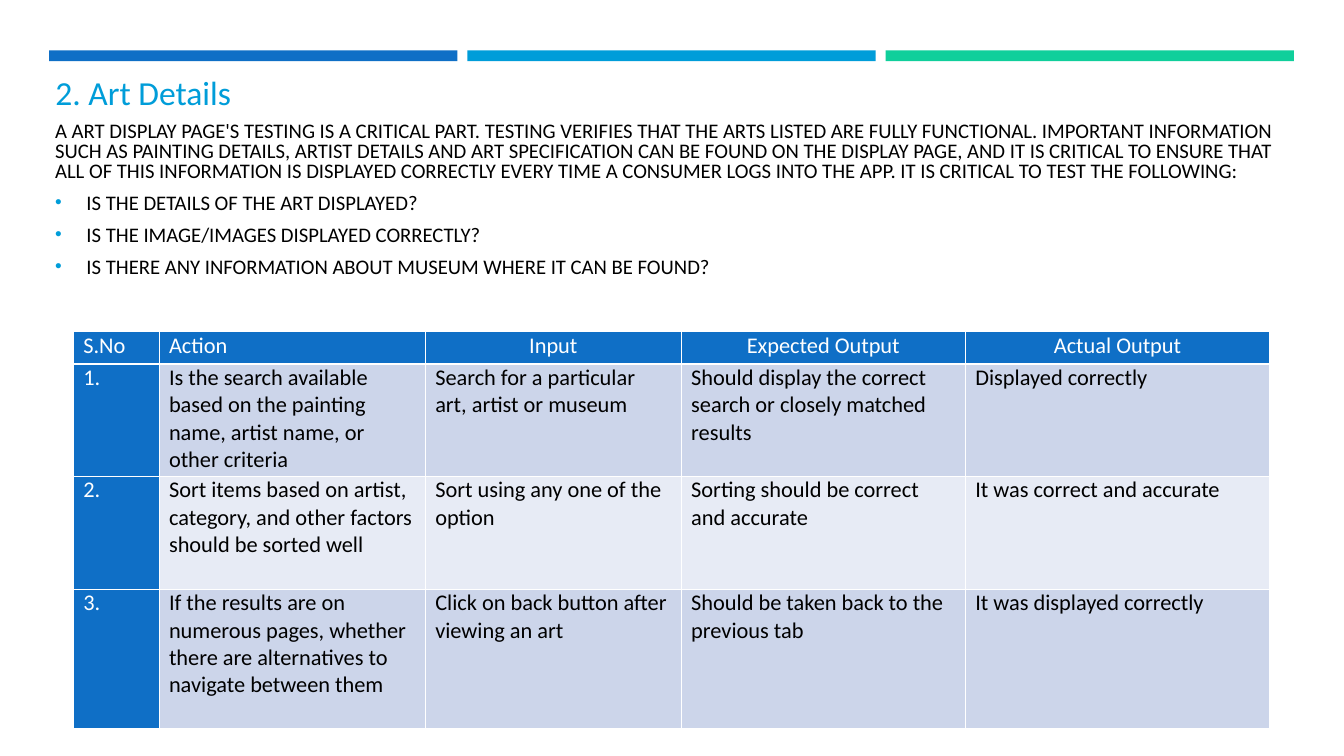
from lxml.etree import SubElement
from pptx import Presentation
from pptx.dml.color import RGBColor
from pptx.enum.shapes import MSO_SHAPE
from pptx.enum.text import MSO_ANCHOR, MSO_AUTO_SIZE, PP_ALIGN
from pptx.oxml.ns import qn
from pptx.util import Cm, Pt

BLUE = RGBColor(0x0F, 0x6F, 0xC6)
CYAN = RGBColor(0x00, 0x9D, 0xD9)
GREEN = RGBColor(0x10, 0xCF, 0x9B)
BAND_DARK = RGBColor(0xCC, 0xD5, 0xEA)
BAND_LIGHT = RGBColor(0xE7, 0xEB, 0xF5)
WHITE = RGBColor(0xFF, 0xFF, 0xFF)
BLACK = RGBColor(0x00, 0x00, 0x00)
FONT = "Calibri"

INTRODUCTION = (
    "A ART DISPLAY PAGE'S TESTING IS A CRITICAL PART. TESTING VERIFIES THAT THE ARTS "
    "LISTED ARE FULLY FUNCTIONAL. IMPORTANT INFORMATION SUCH AS PAINTING DETAILS, ARTIST "
    "DETAILS AND ART SPECIFICATION CAN BE FOUND ON THE DISPLAY PAGE, AND IT IS CRITICAL TO "
    "ENSURE THAT ALL OF THIS INFORMATION IS DISPLAYED CORRECTLY EVERY TIME A CONSUMER LOGS "
    "INTO THE APP. IT IS CRITICAL TO TEST THE FOLLOWING:"
)
QUESTIONS = [
    "IS THE DETAILS OF THE ART DISPLAYED?",
    "IS THE IMAGE/IMAGES DISPLAYED CORRECTLY?",
    "IS THERE ANY INFORMATION ABOUT MUSEUM WHERE IT CAN BE FOUND?",
]
TEST_CASES = [
    ["S.No", "Action", "Input", "Expected Output", "Actual Output"],
    ["1.", "Is the search available based on the painting name, artist name, or other criteria",
     "Search for a particular art, artist or museum",
     "Should display the correct search or closely matched results", "Displayed correctly"],
    ["2.", "Sort items based on artist, category, and other factors should be sorted well",
     "Sort using any one of the option", "Sorting should be correct and accurate",
     "It was correct and accurate"],
    ["3.", "If the results are on numerous pages, whether there are alternatives to navigate "
     "between them", "Click on back button after viewing an art",
     "Should be taken back to the previous tab", "It was displayed correctly"],
]
COLUMN_SHARES = [2.16, 6.71, 6.45, 7.16, 7.67]
ROW_SHARES = [0.81, 2.84, 2.84, 3.51]


def set_attributes(target, values):
    for name, value in values.items():
        setattr(target, name, value)


def format_font(paragraph, size, color):
    set_attributes(paragraph.font, {"name": FONT, "size": Pt(size), "bold": False})
    paragraph.font.color.rgb = color


def add_bullet(paragraph):
    properties = paragraph._p.get_or_add_pPr()
    indent = Cm(0.79)
    properties.set("marL", str(indent))
    properties.set("indent", str(-indent))
    color = SubElement(properties, qn("a:buClr"))
    SubElement(color, qn("a:srgbClr"), val=str(CYAN))
    SubElement(properties, qn("a:buSzPct"), val="92000")
    SubElement(properties, qn("a:buFont"), typeface="Arial")
    SubElement(properties, qn("a:buChar"), char="•")


def add_color_bars(page, left, top, width, height):
    colors = [BLUE, CYAN, GREEN]
    gap = Cm(0.25)
    bar_width = (width - gap * (len(colors) - 1)) // len(colors)
    for index, color in enumerate(colors):
        bar = page.shapes.add_shape(
            MSO_SHAPE.RECTANGLE, left + index * (bar_width + gap), top, bar_width, height)
        bar.shadow.inherit = False
        bar.fill.solid()
        bar.fill.fore_color.rgb = color
        bar.line.fill.background()


def place_title(page, left, top, width, height):
    title = page.shapes.title
    set_attributes(title, {"left": left, "top": top, "width": width, "height": height})
    set_attributes(title.text_frame, {
        "text": "2. Art Details", "word_wrap": False,
        "auto_size": MSO_AUTO_SIZE.NONE, "vertical_anchor": MSO_ANCHOR.TOP})
    paragraph = title.text_frame.paragraphs[0]
    paragraph.alignment = PP_ALIGN.LEFT
    format_font(paragraph, 24, CYAN)


def add_introduction(page, left, top, width, height):
    frame = page.shapes.add_textbox(left, top, width, height).text_frame
    frame.word_wrap = True
    for index, text in enumerate([INTRODUCTION] + QUESTIONS):
        paragraph = frame.add_paragraph() if index else frame.paragraphs[0]
        paragraph.text = text
        if index:
            add_bullet(paragraph)
            paragraph.space_before = Pt(2.7)
        set_attributes(paragraph, {"line_spacing": 0.8, "space_after": Pt(6)})
        format_font(paragraph, 14.8, BLACK)


def add_cell_borders(cell):
    properties = cell._tc.get_or_add_tcPr()
    for position, side in enumerate(["a:lnL", "a:lnR", "a:lnT", "a:lnB"]):
        line = properties.makeelement(qn(side), {"w": str(Pt(1))})
        fill = SubElement(line, qn("a:solidFill"))
        SubElement(fill, qn("a:srgbClr"), val=str(WHITE))
        properties.insert(position, line)


def add_test_table(page, left, top, width, height):
    table = page.shapes.add_table(
        len(TEST_CASES), len(COLUMN_SHARES), left, top, width, height).table
    table.first_col = True
    for column, share in zip(table.columns, COLUMN_SHARES):
        column.width = int(width * share / sum(COLUMN_SHARES))
    for row, share in zip(table.rows, ROW_SHARES):
        row.height = int(height * share / sum(ROW_SHARES))
    for row_index, texts in enumerate(TEST_CASES):
        band = BAND_DARK if row_index % 2 else BAND_LIGHT
        for column_index, text in enumerate(texts):
            cell = table.cell(row_index, column_index)
            is_heading = row_index == 0 or column_index == 0
            set_attributes(cell, {
                "text": text, "margin_left": Cm(0.25), "margin_right": Cm(0.25),
                "margin_top": 0, "margin_bottom": 0})
            cell.fill.solid()
            cell.fill.fore_color.rgb = BLUE if is_heading else band
            add_cell_borders(cell)
            paragraph = cell.text_frame.paragraphs[0]
            if row_index == 0 and column_index > 1:
                paragraph.alignment = PP_ALIGN.CENTER
            format_font(paragraph, 16, WHITE if is_heading else BLACK)


def main():
    deck = Presentation()
    set_attributes(deck, {"slide_width": Cm(33.87), "slide_height": Cm(19.05)})
    page = deck.slides.add_slide(deck.slide_layouts[5])
    add_color_bars(page, Cm(1.24), Cm(1.27), Cm(31.37), Cm(0.27))
    place_title(page, Cm(1.14), Cm(1.68), Cm(5.18), Cm(1.27))
    add_introduction(page, Cm(1.14), Cm(2.97), Cm(31.57), Cm(4.85))
    add_test_table(page, Cm(1.85), Cm(8.36), Cm(30.15), Cm(10))
    deck.save("out.pptx")


if __name__ == "__main__":
    main()
